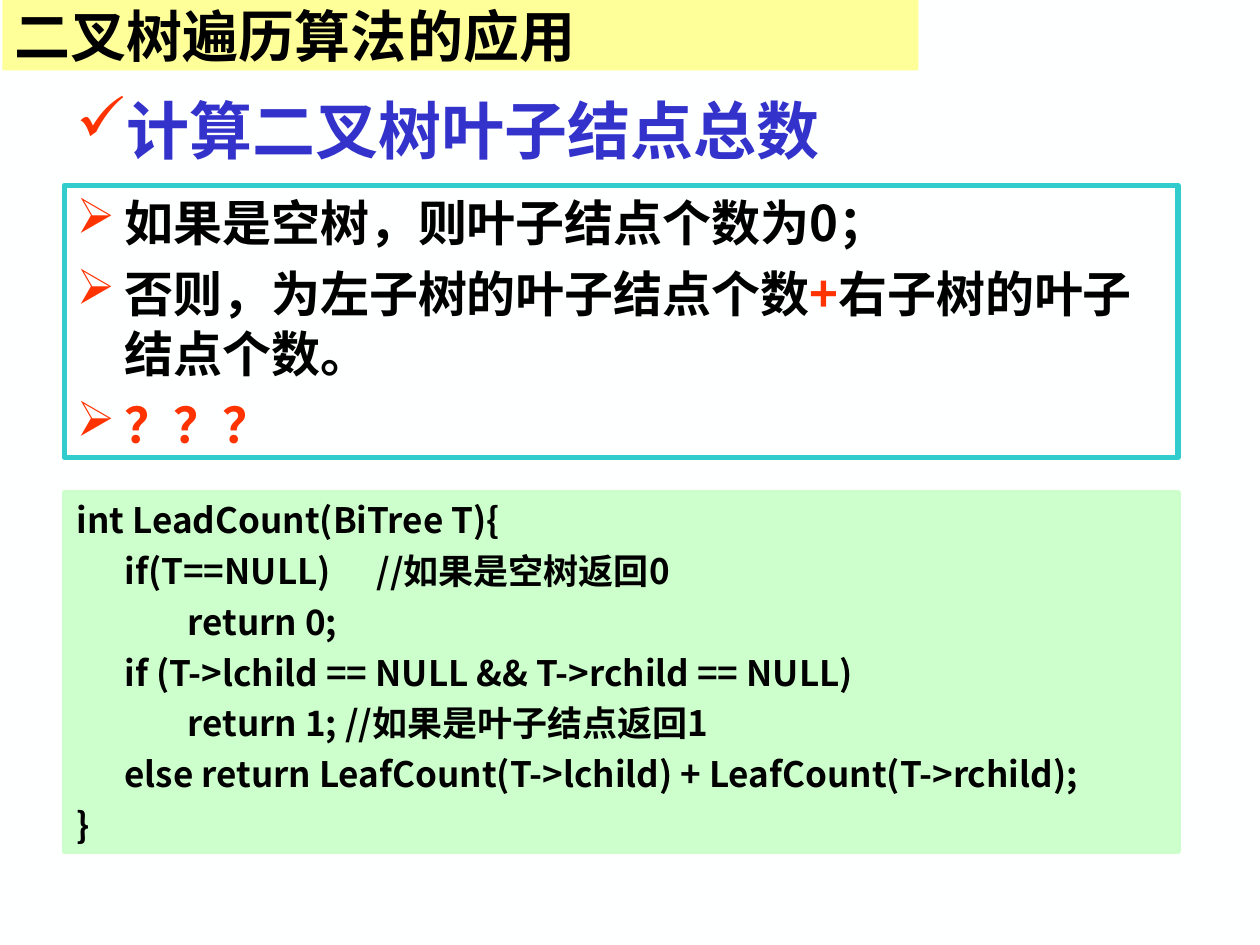
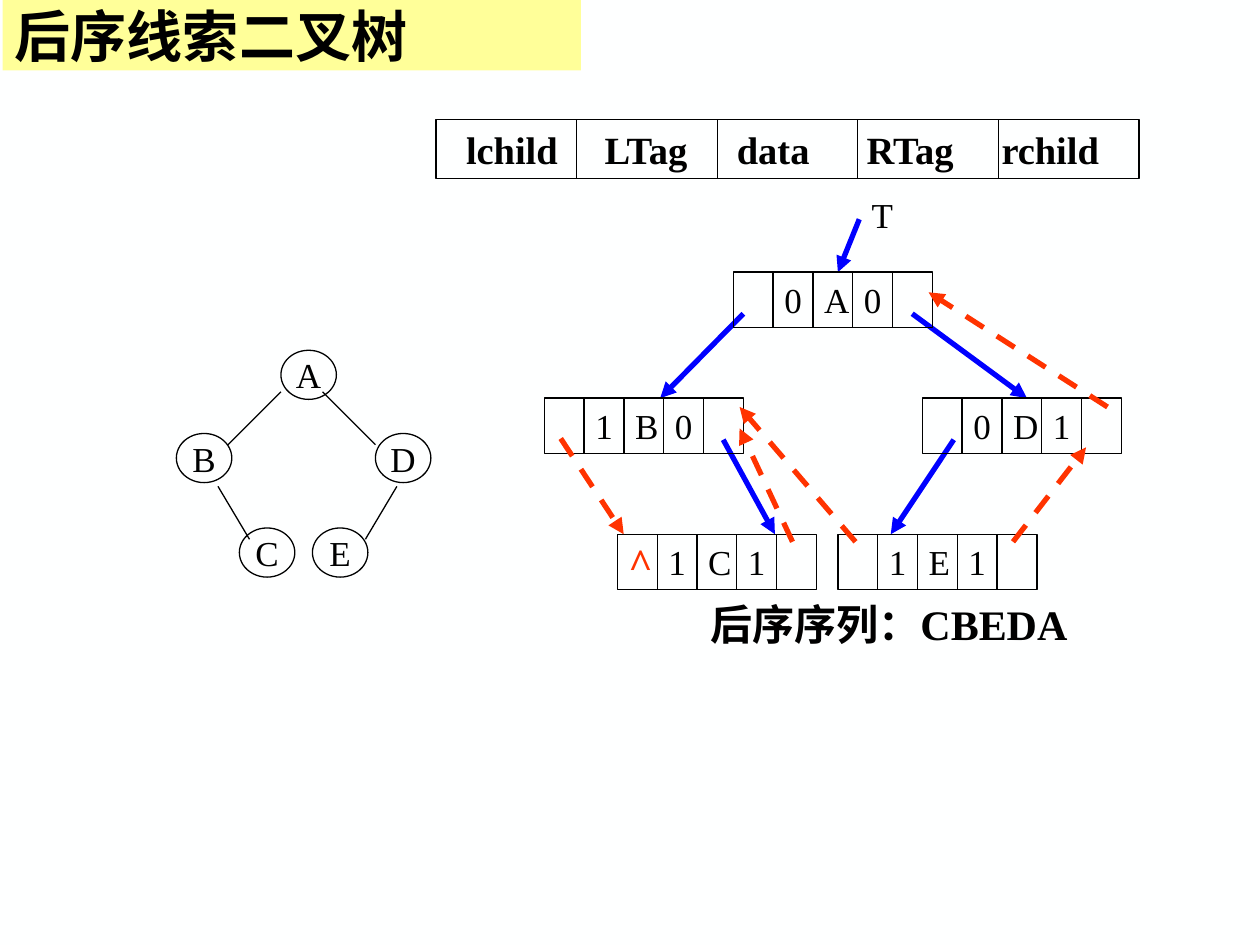
import pptx
import pptx.dml.color
import pptx.enum.dml
import pptx.enum.shapes
import pptx.enum.text
import pptx.oxml.ns
import pptx.util
from lxml import etree

COLUMNS, ROWS = 10, 7.5
UNIT = pptx.util.Inches(1)
SANS, SERIF = "Noto Sans CJK SC", "Times New Roman"
PAPER, INK, BAND = "FEFFFF", "000000", "FFFF99"
HEADING, ACCENT, FRAME, CODE = "3333CC", "FF3300", "33CCCC", "CCFFCC"
POINTER = "0000FF"
SHAPES = pptx.enum.shapes.MSO_SHAPE
ALIGN = pptx.enum.text.PP_ALIGN
ANCHOR = pptx.enum.text.MSO_ANCHOR


def rgb(hex_colour):
    """Turn a hex string into a colour."""
    return pptx.dml.color.RGBColor.from_string(hex_colour)


def grid(*lengths):
    """Turn columns or rows into slide units."""
    return [round(length * UNIT) for length in lengths]


def add_xml(parent, tag, **attributes):
    """Append a drawing element to its parent."""
    return etree.SubElement(parent, pptx.oxml.ns.qn(tag), **attributes)


def format_run(run, size, colour=INK, font=SERIF, bold=False):
    """Set the look of one run, with a font for Chinese as well."""
    run.font.size = pptx.util.Pt(size)
    run.font.bold = bold
    run.font.color.rgb = rgb(colour)
    run.font.name = font
    add_xml(run.font._element, "a:ea", typeface=SANS)


def set_bullet(paragraph, mark):
    """Give a paragraph a coloured bullet."""
    properties = paragraph._p.get_or_add_pPr()
    add_xml(add_xml(properties, "a:buClr"), "a:srgbClr", val=ACCENT)
    add_xml(properties, "a:buChar", char=mark)


def set_tabs(paragraph, stops):
    """Give a paragraph left tab stops, in columns."""
    tabs = add_xml(paragraph._p.get_or_add_pPr(), "a:tabLst")
    for stop in grid(*stops):
        add_xml(tabs, "a:tab", pos=str(stop), algn="l")


def set_hanging(paragraph, indent, line_height, gap):
    """Give a paragraph a hanging indent and its spacing."""
    properties = paragraph._p.get_or_add_pPr()
    margin = grid(indent)[0]
    properties.set("marL", str(margin))
    properties.set("indent", str(-margin))
    paragraph.line_spacing = pptx.util.Pt(line_height)
    paragraph.space_before = pptx.util.Pt(gap)


def add_panel(slide, box, kind=SHAPES.RECTANGLE, fill=None, line=None, weight=0.75):
    """Add a flat shape with optional fill and outline."""
    panel = slide.shapes.add_shape(kind, *grid(*box))
    panel.shadow.inherit = False
    if fill:
        panel.fill.solid()
        panel.fill.fore_color.rgb = rgb(fill)
    else:
        panel.fill.background()
    if line:
        panel.line.color.rgb = rgb(line)
        panel.line.width = pptx.util.Pt(weight)
    else:
        panel.line.fill.background()
    return panel


def add_label(slide, box):
    """Add an empty text box."""
    return slide.shapes.add_textbox(*grid(*box))


def write(shape, text, size, align=ALIGN.LEFT, anchor=ANCHOR.MIDDLE, wrap=True, **look):
    """Write one line of text in a shape and return its paragraph."""
    frame = shape.text_frame
    frame.text = text
    frame.word_wrap = wrap
    frame.vertical_anchor = anchor
    paragraph = frame.paragraphs[0]
    paragraph.alignment = align
    format_run(paragraph.runs[0], size, **look)
    return paragraph


def add_line(slide, start, end, colour=INK, weight=0.75, arrow=False, dashed=False):
    """Draw a straight line, with an arrowhead at its end if wanted."""
    line = slide.shapes.add_connector(
        pptx.enum.shapes.MSO_CONNECTOR.STRAIGHT, *grid(*start, *end))
    line.line.color.rgb = rgb(colour)
    line.line.width = pptx.util.Pt(weight)
    if dashed:
        line.line.dash_style = pptx.enum.dml.MSO_LINE.DASH
    if arrow:
        add_xml(line.line._get_or_add_ln(), "a:tailEnd", type="triangle")
    add_xml(line._element.spPr, "a:effectLst")


def shift(origin, offset):
    """Move a point by an offset."""
    return origin[0] + offset[0], origin[1] + offset[1]


def add_links(slide, nodes, links, **style):
    """Draw lines between points given relative to named nodes."""
    for source, start, target, end in links:
        add_line(slide, shift(nodes[source], start), shift(nodes[target], end), **style)


def add_titled_slide(deck, title, band_width):
    """Add a slide with the title band at its top."""
    slide = deck.slides.add_slide(deck.slide_layouts[6])
    slide.background.fill.solid()
    slide.background.fill.fore_color.rgb = rgb(PAPER)
    band = add_panel(slide, (0.02, 0, band_width, 0.56), fill=BAND)
    write(band, title, 32, font=SANS, bold=True)
    return slide


def add_heading(slide, box, text):
    """Add the ticked heading below the band."""
    heading = write(add_label(slide, box), text, 36, colour=HEADING, font=SANS, bold=True)
    set_bullet(heading, "✓")


def add_rules(slide, box, rules):
    """Add the framed list of rules, each a list of text and colour pairs."""
    frame = add_panel(slide, box, line=FRAME, weight=3).text_frame
    frame.word_wrap = True
    frame.vertical_anchor = ANCHOR.TOP
    for index, parts in enumerate(rules):
        rule = frame.add_paragraph() if index else frame.paragraphs[0]
        rule.alignment = ALIGN.LEFT
        set_hanging(rule, 0.38, 34, 7 if index else 0)
        set_bullet(rule, "➢")
        for text, colour in parts:
            run = rule.add_run()
            run.text = text
            format_run(run, 28, colour, SANS, bold=True)


def add_code(slide, box, code):
    """Add the listing on its filled panel."""
    frame = add_panel(slide, box, fill=CODE, line=CODE, weight=3).text_frame
    frame.text = code
    frame.word_wrap = True
    frame.vertical_anchor = ANCHOR.TOP
    for index, row in enumerate(frame.paragraphs):
        row.alignment = ALIGN.LEFT
        set_hanging(row, 0.38, 24, 5 if index else 0)
        set_tabs(row, range(8))
        format_run(row.runs[0], 20, font=SANS, bold=True)


def add_record(slide, box, fields=5):
    """Add a box divided into equal fields and return it."""
    left, top, width, height = box
    record = add_panel(slide, box, line=INK)
    for field in range(1, fields):
        x = left + width * field / fields
        add_line(slide, (x, top), (x, top + height))
    return record


def add_node_layout(slide, box, names):
    """Add the record that names the fields of a node."""
    header = write(add_record(slide, box), "\t" + "\t".join(names), 22, bold=True)
    set_tabs(header, (0.14, 1.24, 2.29, 3.32, 4.39))


def add_plain_tree(slide, box):
    """Draw the binary tree with round nodes."""
    offsets = {"A": (0.83, 0), "B": (0, 0.66), "C": (0.5, 1.41),
               "D": (1.58, 0.66), "E": (1.08, 1.41)}
    nodes = {name: shift(box, offset) for name, offset in offsets.items()}
    for name, place in nodes.items():
        circle = add_panel(slide, (*place, 0.44, 0.39), SHAPES.OVAL, line=INK)
        write(circle, name, 20, align=ALIGN.CENTER, wrap=False)
    add_links(slide, nodes, [
        ("A", (0, 0.33), "B", (0.41, 0.09)),
        ("A", (0.33, 0.33), "D", (0, 0.09)),
        ("B", (0.33, 0.42), "C", (0.08, 0.09)),
        ("D", (0.17, 0.42), "E", (0.42, 0.09)),
    ])


def add_thread_node(slide, box, name, tags):
    """Draw one linked node with its letter and its field marks."""
    left, top, width, height = box
    record = add_record(slide, box)
    record.text_frame.margin_left = grid(0.72)[0]
    write(record, name, 20)
    for field, tag in tags.items():
        centre = left + width * (field + 0.5) / 5
        label = add_label(slide, (centre - 0.17, top, 0.34, height))
        look = dict(size=24, colour=ACCENT, bold=True) if tag == "^" else dict(size=20)
        write(label, tag, align=ALIGN.CENTER, wrap=False, **look)


def add_threaded_tree(slide, box):
    """Draw the linked nodes with their pointers, threads and caption."""
    layout = {
        "A": ((1.5, 0.67), {1: "0", 3: "0"}),
        "B": ((0, 1.67), {1: "1", 3: "0"}),
        "D": ((3, 1.67), {1: "0", 3: "1"}),
        "C": ((0.58, 2.75), {0: "^", 1: "1", 3: "1"}),
        "E": ((2.33, 2.75), {1: "1", 3: "1"}),
    }
    nodes = {name: shift(box, offset) for name, (offset, _) in layout.items()}
    add_links(slide, nodes, [
        ("A", (1, -0.42), "A", (0.83, 0)),
        ("A", (0.08, 0.33), "B", (0.92, 0)),
        ("A", (1.42, 0.33), "D", (0.83, 0)),
        ("B", (1.42, 0.33), "C", (1.25, 0)),
        ("D", (0.25, 0.33), "E", (0.42, 0)),
    ], colour=POINTER, weight=3, arrow=True)
    for name, (_, tags) in layout.items():
        add_thread_node(slide, (*nodes[name], 1.58, 0.44), name, tags)
    add_links(slide, nodes, [
        ("B", (0.13, 0.32), "C", (0.05, 0)),
        ("C", (1.39, 0.06), "B", (1.55, 0.24)),
        ("E", (0.14, 0.06), "B", (1.55, 0.07)),
        ("E", (1.39, 0.06), "D", (1.3, 0.39)),
        ("D", (1.47, 0.07), "A", (1.55, 0.16)),
    ], colour=ACCENT, weight=3, arrow=True, dashed=True)
    root = add_label(slide, (*shift(box, (2.5, 0)), 0.37, 0.44))
    write(root, "T", 20, anchor=ANCHOR.TOP, wrap=False)
    caption = add_label(slide, (*shift(box, (1.22, 3.21)), 3.11, 0.5))
    write(caption, "后序序列：CBEDA", 24, anchor=ANCHOR.TOP, wrap=False, bold=True)


LEAF_RULES = [
    [("如果是空树，则叶子结点个数为0；", INK)],
    [("否则，为左子树的叶子结点个数", INK), ("+", ACCENT),
     ("右子树的叶子结点个数。", INK)],
    [("？？？", ACCENT)],
]
LEAF_CODE = """int LeadCount(BiTree T){
 \tif(T==NULL) \t//如果是空树返回0
\t\treturn 0;
\tif (T->lchild == NULL && T->rchild == NULL)
\t\treturn 1; //如果是叶子结点返回1
\telse return LeafCount(T->lchild) + LeafCount(T->rchild);
}"""


def main():
    """Build both slides and save them."""
    deck = pptx.Presentation()
    deck.slide_width, deck.slide_height = grid(COLUMNS, ROWS)

    leaves = add_titled_slide(deck, "二叉树遍历算法的应用", 7.27)
    add_heading(leaves, (0.51, 0.68, 6.53, 0.7), "计算二叉树叶子结点总数")
    add_rules(leaves, (0.51, 1.47, 8.84, 2.16), LEAF_RULES)
    add_code(leaves, (0.51, 3.91, 8.84, 2.85), LEAF_CODE)

    threads = add_titled_slide(deck, "后序线索二叉树", 4.59)
    add_node_layout(threads, (3.46, 0.95, 5.58, 0.47),
                    ("lchild", "LTag", "data", "RTag", "rchild"))
    add_plain_tree(threads, (1.4, 2.78, 2.02, 1.82))
    add_threaded_tree(threads, (4.32, 1.49, 4.58, 3.71))

    deck.save("out.pptx")


if __name__ == "__main__":
    main()
